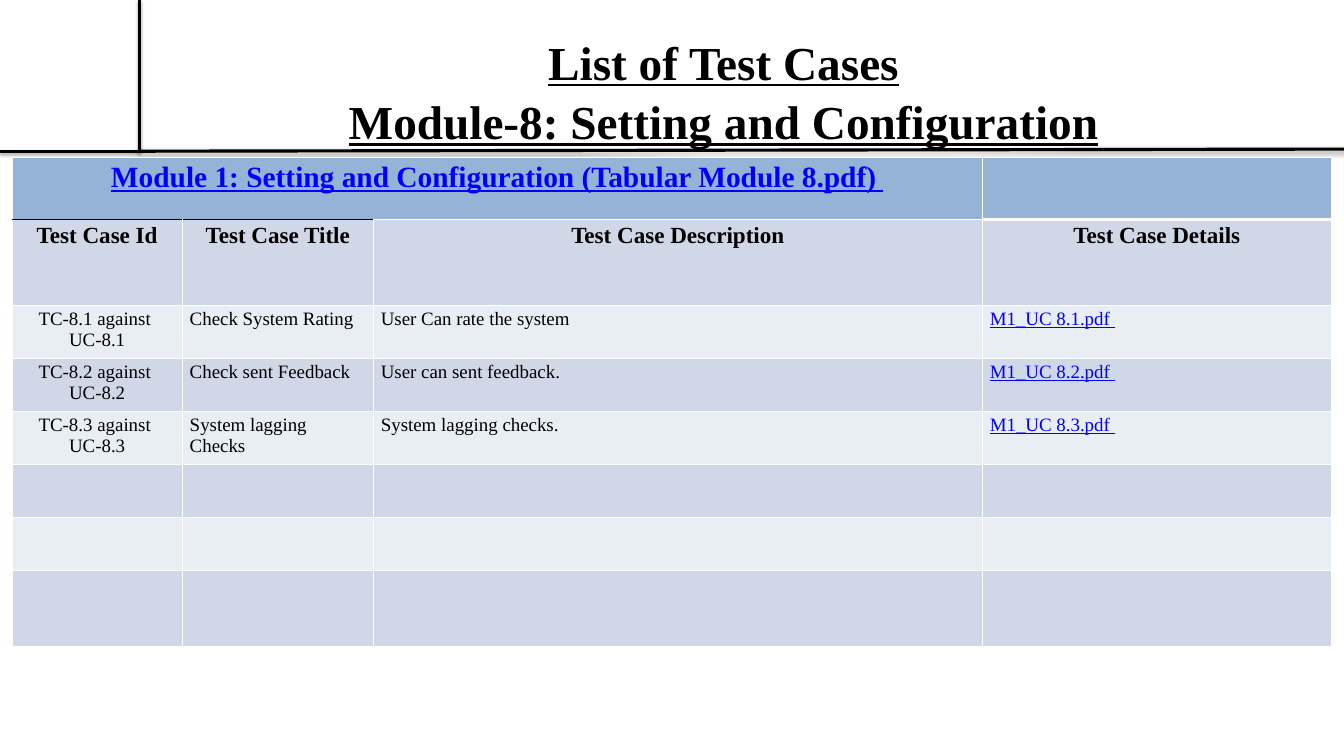
"""Build the test case list slide for module 8."""
from dataclasses import dataclass

from lxml import etree
from pptx import Presentation
from pptx.dml.color import RGBColor
from pptx.enum import shapes, text
from pptx.oxml import parse_xml
from pptx.oxml.ns import nsdecls, qn
from pptx.util import Pt


@dataclass(frozen=True)
class Theme:
    """Colours, font and type sizes of the slide."""
    font: str = "Times New Roman"
    ink: str = "000000"
    link: str = "0000FF"
    edge: str = "FFFFFF"
    band: str = "95B3D7"
    dark: str = "D0D8E8"
    light: str = "E9EDF4"
    title: int = 45
    module: int = 28
    head: int = 22
    body: int = 18


THEME = Theme()
MID, LEFT, JUST = text.PP_ALIGN.CENTER, text.PP_ALIGN.LEFT, text.PP_ALIGN.JUSTIFY
TITLE = ["List of Test Cases", "Module-8: Setting and Configuration"]
MODULE = "Module 1: Setting and Configuration (Tabular Module 8.pdf) "
HEADS = ["Test Case Id", "Test Case Title", "Test Case Description", "Test Case Details"]
CASES = [
    ("Check System Rating", "User Can rate the system"),
    ("Check sent Feedback", "User can sent feedback. "),
    ("System lagging Checks", "System lagging checks."),
]
COLS = [162, 182, 580, 332.5]
ROWS = [59, 81.5] + [50.5] * 5 + [72.5]
RULES = [
    (133, 0, 133, 144.5),
    (0, 144.5, 133, 144.5),
    (133, 144, 1280, 142),
]


def add_run(para, words, size, color=THEME.ink, bold=False, line=False):
    """Add one formatted run to a paragraph."""
    run = para.add_run()
    run.text = words
    font = run.font
    font.name, font.size = THEME.font, Pt(size)
    font.bold, font.underline = bold, line
    font.color.rgb = RGBColor.from_string(color)


def add_rule(slide, ends):
    """Draw a thick black line with a soft shadow below it."""
    rule = slide.shapes.add_connector(
        shapes.MSO_CONNECTOR.STRAIGHT, *[Pt(end) for end in ends])
    rule.line.width = Pt(3)
    rule.line.color.rgb = RGBColor.from_string(THEME.ink)
    rule._element.spPr.append(parse_xml(
        f'<a:effectLst {nsdecls("a")}>'
        f'<a:outerShdw blurRad="{Pt(3.1)}" dist="{Pt(1.8)}" dir="5400000" rotWithShape="0">'
        f'<a:srgbClr val="{THEME.ink}"><a:alpha val="35000"/></a:srgbClr>'
        '</a:outerShdw></a:effectLst>'))


def set_title(slide):
    """Place the underlined two-line title."""
    title = slide.shapes.title
    title.left, title.top, title.width, title.height = Pt(202), Pt(24), Pt(974), Pt(90)
    frame = title.text_frame
    frame.auto_size = text.MSO_AUTO_SIZE.NONE
    frame.vertical_anchor = text.MSO_ANCHOR.TOP
    frame.word_wrap = True
    frame.margin_left = frame.margin_right = Pt(8)
    frame.margin_top = frame.margin_bottom = Pt(4.5)
    para = frame.paragraphs[0]
    para.alignment, para.line_spacing = MID, 1.05
    for row, words in enumerate(TITLE):
        if row:
            para.add_line_break()
        add_run(para, words, THEME.title, bold=True, line=True)


def style_cell(cell, fill, top=(THEME.edge, 1), base=(THEME.edge, 1)):
    """Give a cell its four borders and its fill."""
    props = cell._tc.get_or_add_tcPr()
    side = (THEME.edge, 1)
    for tag, (color, width) in zip(("lnL", "lnR", "lnT", "lnB"), (side, side, top, base)):
        line = etree.SubElement(props, qn(f"a:{tag}"), w=str(Pt(width)))
        solid = etree.SubElement(line, qn("a:solidFill"))
        etree.SubElement(solid, qn("a:srgbClr"), val=color)
    cell.fill.solid()
    cell.fill.fore_color.rgb = RGBColor.from_string(fill)


def fill_cell(cell, lines, align, size, **look):
    """Write one paragraph for each line into a cell."""
    frame = cell.text_frame
    for row, words in enumerate(lines):
        para = frame.add_paragraph() if row else frame.paragraphs[0]
        para.alignment = align
        add_run(para, words, size, **look)


def style_grid(table):
    """Apply the banded fills and the special borders under the module row."""
    black, thick = (THEME.ink, 1), (THEME.edge, 3)
    for row in range(len(ROWS)):
        for col in range(len(COLS)):
            look = {}
            if row == 0:
                fill = THEME.band
                look["base"] = thick if col == 3 else black
            else:
                fill = THEME.dark if row % 2 else THEME.light
            if row == 1 and col < 2:
                look["top"] = black
            elif row == 1 and col == 3:
                look["top"] = thick
            style_cell(table.cell(row, col), fill, **look)


def add_cases(slide):
    """Add the table of test cases."""
    frame = slide.shapes.add_table(
        len(ROWS), len(COLS), Pt(11.5), Pt(150), Pt(sum(COLS)), Pt(sum(ROWS)))
    table = frame.table
    for col, width in zip(table.columns, COLS):
        col.width = Pt(width)
    for row, height in zip(table.rows, ROWS):
        row.height = Pt(height)
    style_grid(table)
    table.cell(0, 0).merge(table.cell(0, 2))
    fill_cell(table.cell(0, 0), [MODULE], MID, THEME.module,
              color=THEME.link, bold=True, line=True)
    for col, head in enumerate(HEADS):
        fill_cell(table.cell(1, col), [head], MID, THEME.head, bold=True)
    for num, (name, about) in enumerate(CASES, 1):
        cells = table.rows[num + 1].cells
        fill_cell(cells[0], [f"TC-8.{num} against ", f"UC-8.{num}"], MID, THEME.body)
        fill_cell(cells[1], [name], LEFT, THEME.body)
        fill_cell(cells[2], [about], JUST, THEME.body)
        fill_cell(cells[3], [f"M1_UC 8.{num}.pdf "], JUST, THEME.body,
                  color=THEME.link, line=True)


def main():
    """Build and save the slide."""
    deck = Presentation()
    deck.slide_width, deck.slide_height = Pt(1280), Pt(720)
    slide = deck.slides.add_slide(deck.slide_layouts[0])
    sub = slide.placeholders[1]._element
    sub.getparent().remove(sub)
    for ends in RULES:
        add_rule(slide, ends)
    set_title(slide)
    add_cases(slide)
    deck.save("out.pptx")


if __name__ == "__main__":
    main()
